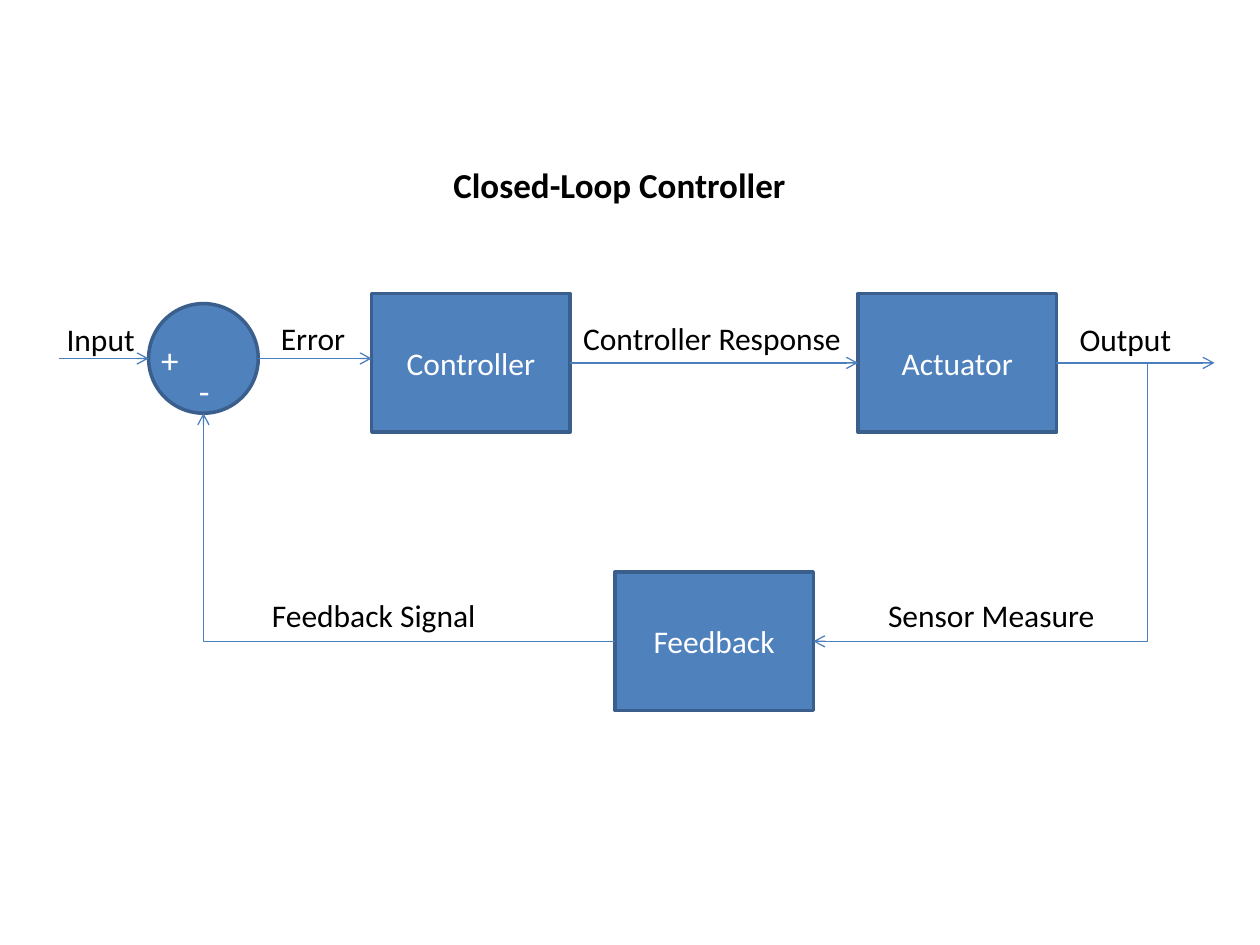
"""Draw a block diagram of a closed-loop controller."""
from dataclasses import dataclass
from typing import NamedTuple, Optional

from lxml.etree import SubElement
from pptx import Presentation
from pptx.dml.color import RGBColor
from pptx.enum.shapes import MSO_CONNECTOR, MSO_SHAPE
from pptx.enum.text import MSO_ANCHOR, MSO_AUTO_SIZE, PP_ALIGN
from pptx.oxml.ns import qn
from pptx.util import Inches, Pt


@dataclass(frozen=True)
class Theme:
    font: str = "Calibri"
    body: float = 18
    large: float = 20
    fill: RGBColor = RGBColor(0x4F, 0x81, 0xBD)
    border: RGBColor = RGBColor(0x3A, 0x5F, 0x8C)
    wire: RGBColor = RGBColor(0x4B, 0x7E, 0xBC)
    dark: RGBColor = RGBColor(0, 0, 0)
    light: RGBColor = RGBColor(255, 255, 255)
    border_width: float = 2
    wire_width: float = 0.75


class Block(NamedTuple):
    col: float
    row: float
    cols: float = 15.75
    rows: float = 11
    text: str = ""
    shape: MSO_SHAPE = MSO_SHAPE.RECTANGLE


class Label(NamedTuple):
    text: str
    col: float
    row: float
    cols: float
    rows: float = 4
    size: float = Theme.body
    color: RGBColor = Theme.dark
    bold: bool = False
    wrap: bool = False


class Wire(NamedTuple):
    start: tuple[float, float]
    end: tuple[float, float]
    bend: Optional[str] = None


COLS, ROWS = 100, 75
CELL = Inches(0.1)
theme = Theme()

controller = Block(29.5, 23.3, text="Controller")
actuator = Block(68.1, 23.3, text="Actuator")
feedback = Block(48.8, 45.4, text="Feedback")
summing = Block(11.8, 24.1, 8.7, 8.7, shape=MSO_SHAPE.OVAL)
BLOCKS = [controller, actuator, feedback, summing]


def right(block: Block) -> float:
    return block.col + block.cols


def middle(block: Block) -> float:
    return block.row + block.rows / 2


IN_ROW, OUT_ROW, BACK_ROW = middle(summing), middle(controller), middle(feedback)
SUM_COL, TAP_COL = summing.col + summing.cols / 2, 91.1

WIRES = [
    Wire((4.7, IN_ROW), (summing.col, IN_ROW)),
    Wire((right(summing), IN_ROW), (controller.col, IN_ROW)),
    Wire((right(controller), OUT_ROW), (actuator.col, OUT_ROW)),
    Wire((right(actuator), OUT_ROW), (96.4, OUT_ROW)),
    Wire((TAP_COL, OUT_ROW), (right(feedback), BACK_ROW), "bentConnector3"),
    Wire((feedback.col, BACK_ROW), (SUM_COL, summing.row + summing.rows), "bentConnector2"),
]

LABELS = [
    Label("Closed-Loop Controller", 35, 12.5, 32.3, 4.4, theme.large, bold=True, wrap=True),
    Label("Input", 4.3, 24.9, 7.5),
    Label("Error", 21.3, 24.8, 7.2),
    Label("Controller Response", 45.3, 24.8, 22.7),
    Label("Output", 84.7, 24.9, 9.4),
    Label("Feedback Signal", 20.6, 46.8, 18.4),
    Label("Sensor Measure", 69.5, 46.8, 18.6),
    Label("+", 11.8, 26.4, 3.4, 4.4, theme.large, theme.light),
    Label("-", 14.8, 28.8, 2.9, 4.4, theme.large, theme.light),
]


def cells(*counts: float) -> list[int]:
    return [round(n * CELL) for n in counts]


def add_run(p, text: str, size: float, color: RGBColor, bold: bool = False) -> None:
    r = p.add_run()
    r.text = text
    r.font.name = theme.font
    r.font.size = Pt(size)
    r.font.bold = bold
    r.font.color.rgb = color


def draw_block(s, block: Block) -> None:
    sp = s.shapes.add_shape(block.shape, *cells(*block[:4]))
    sp.shadow.inherit = False
    sp.fill.solid()
    sp.fill.fore_color.rgb = theme.fill
    sp.line.color.rgb = theme.border
    sp.line.width = Pt(theme.border_width)
    if block.text:
        tf = sp.text_frame
        tf.vertical_anchor = MSO_ANCHOR.MIDDLE
        p = tf.paragraphs[0]
        p.alignment = PP_ALIGN.CENTER
        add_run(p, block.text, theme.body, theme.light)


def draw_label(s, label: Label) -> None:
    sp = s.shapes.add_textbox(*cells(*label[1:5]))
    tf = sp.text_frame
    tf.word_wrap = label.wrap
    tf.auto_size = MSO_AUTO_SIZE.SHAPE_TO_FIT_TEXT
    add_run(tf.paragraphs[0], label.text, label.size, label.color, label.bold)


def draw_wire(s, wire: Wire) -> None:
    kind = MSO_CONNECTOR.ELBOW if wire.bend else MSO_CONNECTOR.STRAIGHT
    sp = s.shapes.add_connector(kind, *cells(*wire.start, *wire.end))
    sp.line.color.rgb = theme.wire
    sp.line.width = Pt(theme.wire_width)
    spPr = sp._element.spPr
    SubElement(spPr.find(qn("a:ln")), qn("a:tailEnd"), type="arrow")
    SubElement(spPr, qn("a:effectLst"))
    if wire.bend:
        geom = spPr.find(qn("a:prstGeom"))
        geom.set("prst", wire.bend)
        if wire.bend == "bentConnector3":
            SubElement(geom.find(qn("a:avLst")), qn("a:gd"), name="adj1", fmla="val 0")


def main() -> None:
    prs = Presentation()
    prs.slide_width, prs.slide_height = cells(COLS, ROWS)
    s = prs.slides.add_slide(prs.slide_layouts[6])
    for block in BLOCKS:
        draw_block(s, block)
    for wire in WIRES:
        draw_wire(s, wire)
    for label in LABELS:
        draw_label(s, label)
    prs.save("out.pptx")


main()
